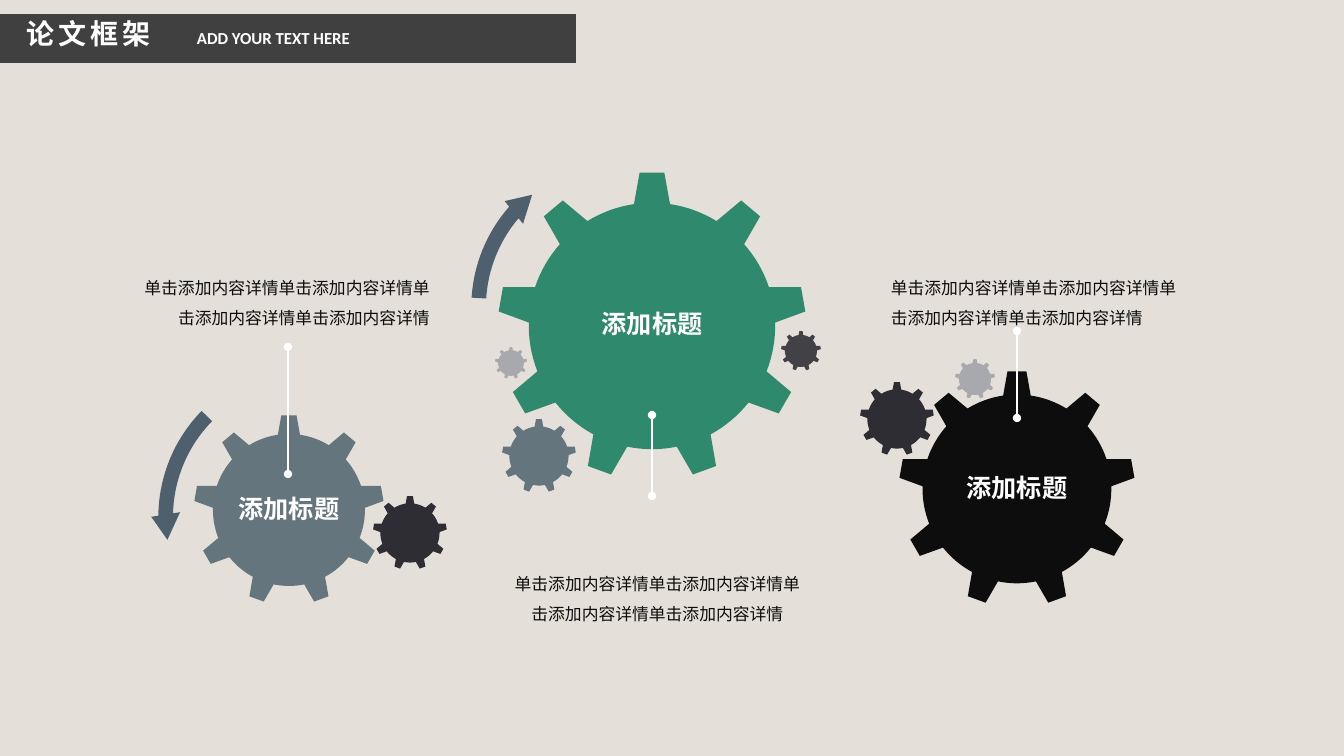
from math import cos, radians, sin

from lxml.etree import SubElement
from pptx import Presentation
from pptx.dml.color import RGBColor
from pptx.enum.shapes import MSO_CONNECTOR, MSO_SHAPE
from pptx.enum.text import MSO_ANCHOR, MSO_AUTO_SIZE, PP_ALIGN
from pptx.oxml.ns import qn
from pptx.util import Pt

PX = 914400 / 100.8
CJK = "Noto Sans CJK SC"
COLORS = {
    "paper": "E4DFD8", "bar": "404040", "white": "FFFFFF", "ink": "0D0D0D",
    "arrow": "4E606E", "slate": "65757D", "green": "2F896D",
    "charcoal": "2E2D33", "graphite": "414146", "silver": "A8A9AD",
}
GEAR_LABEL = "添加标题"
DETAILS = ["单击添加内容详情单击添加内容详情单", "击添加内容详情单击添加内容详情"]
TEETH = 9
BAND = 4.6 / 100


def px(*lengths):
    return [round(length * PX) for length in lengths]


def rgb(name):
    return RGBColor.from_string(COLORS[name])


def paint(shape, color):
    shape.shadow.inherit = False
    shape.fill.solid()
    shape.fill.fore_color.rgb = rgb(color)
    shape.line.fill.background()


def write(shape, lines, size, color, align, bold=False, font=CJK, spacing=None):
    """Fill a shape with equally formatted paragraphs."""
    frame = shape.text_frame
    frame.word_wrap = True
    frame.auto_size = MSO_AUTO_SIZE.NONE
    frame.vertical_anchor = MSO_ANCHOR.MIDDLE
    frame.text = "\n".join(lines)
    for paragraph in frame.paragraphs:
        paragraph.alignment = align
        paragraph.line_spacing = spacing
        paragraph.font.size = Pt(size)
        paragraph.font.bold = bold
        paragraph.font.color.rgb = rgb(color)
        paragraph.font.name = font
        if font == CJK:
            defaults = paragraph._p.pPr.find(qn("a:defRPr"))
            SubElement(defaults, qn("a:ea")).set("typeface", CJK)


def add_text(slide, box, lines, size, color, align, **style):
    write(slide.shapes.add_textbox(*px(*box)), lines, size, color, align, **style)


def add_gear(slide, cx, cy, radius, color, label=None):
    """Outline nine tapered teeth around a round hub."""
    step = 360 / TEETH
    hub = radius * 0.8
    outline = []
    for tooth in range(TEETH):
        middle = tooth * step
        outline += [(hub, middle - 8.4), (radius, middle - 4.6),
                    (radius, middle + 4.6), (hub, middle + 8.4)]
        valley = step - 2 * 8.4
        outline += [(hub, middle + 8.4 + valley * part / 8) for part in range(1, 8)]
    points = [px(cx + r * sin(radians(angle)), cy - r * cos(radians(angle)))
              for r, angle in outline]
    builder = slide.shapes.build_freeform(*points[0])
    builder.add_line_segments(points[1:])
    gear = builder.convert_to_shape()
    paint(gear, color)
    if label:
        write(gear, [label], 18, "white", PP_ALIGN.CENTER, bold=True)


def add_turn_arrow(slide, box, rotation, start, flipped=False):
    arrow = slide.shapes.add_shape(MSO_SHAPE.CIRCULAR_ARROW, *px(*box))
    for index, value in enumerate([BAND, 6.05, 209.46, start, BAND]):
        arrow.adjustments[index] = value
    arrow.rotation = rotation
    if flipped:
        arrow.element.spPr.xfrm.set("flipV", "1")
    paint(arrow, "arrow")


def add_pointer(slide, x, y_from, y_to):
    pointer = slide.shapes.add_connector(MSO_CONNECTOR.STRAIGHT, *px(x, y_from, x, y_to))
    pointer.line.color.rgb = rgb("white")
    pointer.line.width = Pt(1)
    line = pointer.line._get_or_add_ln()
    for end in ("a:headEnd", "a:tailEnd"):
        SubElement(line, qn(end)).set("type", "oval")
    SubElement(pointer.element.spPr, qn("a:effectLst"))


def add_header(slide):
    bar = slide.shapes.add_shape(MSO_SHAPE.RECTANGLE, *px(0, 14, 576, 49))
    paint(bar, "bar")
    add_text(slide, (187, 23, 233, 30), ["ADD YOUR TEXT HERE"], 12, "white",
             PP_ALIGN.LEFT, bold=True, font="Calibri")
    title = slide.shapes.title
    title.left, title.top, title.width, title.height = px(16, 11, 178, 44)
    write(title, ["论文框架"], 20, "white", PP_ALIGN.LEFT, bold=True, font="Arial")
    title.text_frame.paragraphs[0].runs[0].font._element.set("spc", "300")
    # Bring the title in front of the bar
    slide.shapes._spTree.append(title.element)


def main():
    prs = Presentation()
    prs.slide_width, prs.slide_height = px(1344, 756)
    slide = prs.slides.add_slide(prs.slide_layouts[5])
    slide.background.fill.solid()
    slide.background.fill.fore_color.rgb = rgb("paper")
    add_header(slide)

    # Details beside each large gear
    for left, top, align in [
        (83, 264, PP_ALIGN.RIGHT),
        (479, 560, PP_ALIGN.CENTER),
        (881, 264, PP_ALIGN.LEFT),
    ]:
        add_text(slide, (left, top, 357, 68), DETAILS, 12, "ink", align, spacing=1.5)

    # Turning arrows
    add_turn_arrow(slide, (151, 358, 318, 318), 170.1, 183.43, flipped=True)
    add_turn_arrow(slide, (464, 148, 318, 318), 231.8, 187.04)

    # Gears: centre, outer radius, colour and label
    for gear in [
        (289, 510, 95, "slate", GEAR_LABEL),
        (410, 533, 37, "charcoal"),
        (652, 326, 154, "green", GEAR_LABEL),
        (801, 351, 20, "graphite"),
        (539, 456, 37, "slate"),
        (511, 363, 16, "silver"),
        (1017, 489, 118, "ink", GEAR_LABEL),
        (975, 379, 20, "silver"),
        (897, 419, 37, "charcoal"),
    ]:
        add_gear(slide, *gear)

    # Pointers between gears and details
    for pointer in [(288, 474, 347), (652, 415, 496), (1017, 418, 331)]:
        add_pointer(slide, *pointer)

    prs.save("out.pptx")


if __name__ == "__main__":
    main()
